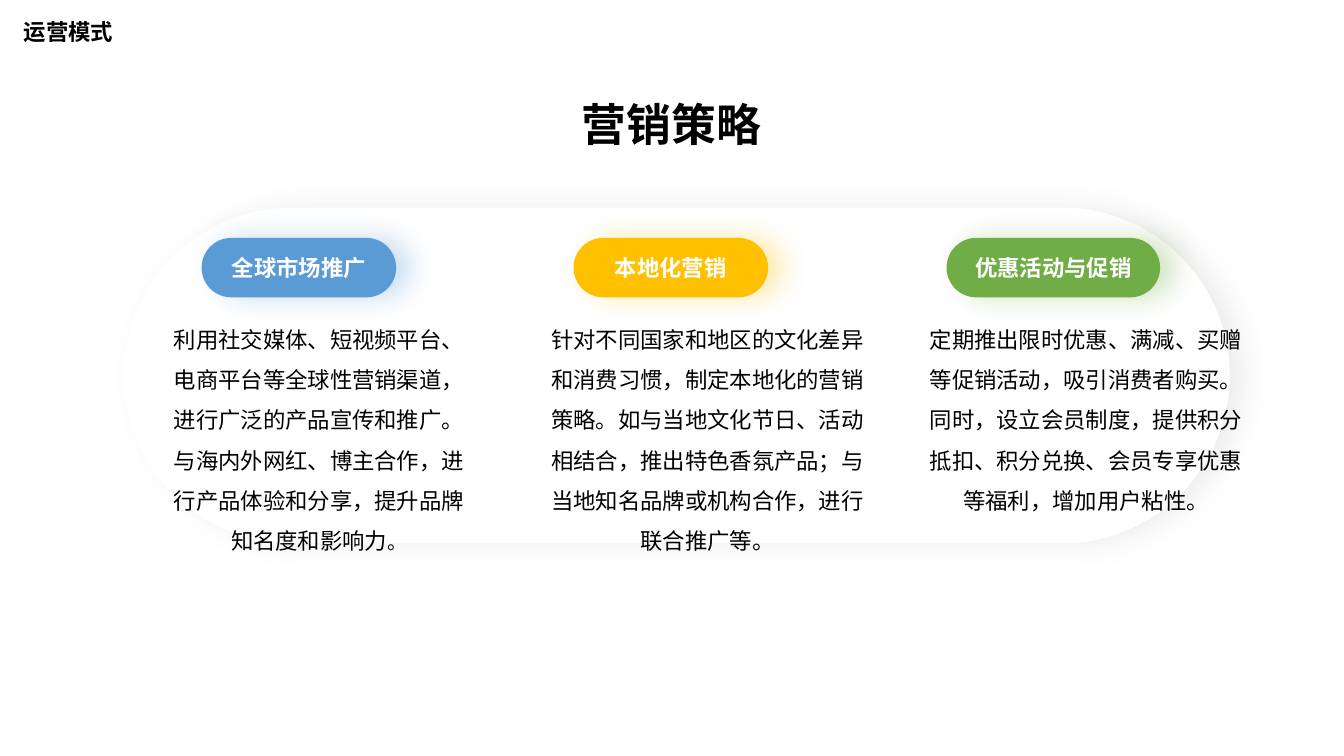
from lxml.etree import SubElement
from pptx import Presentation
from pptx.dml.color import RGBColor
from pptx.enum.shapes import MSO_SHAPE
from pptx.enum.text import MSO_ANCHOR, MSO_AUTO_SIZE, PP_ALIGN
from pptx.oxml.ns import qn
from pptx.util import Pt

COLORS = {
    "white": "FFFFFF",
    "black": "000000",
    "gray": "A6A6A6",
    "blue": "5B9BD5",
    "yellow": "FFC000",
    "green": "70AD47",
}
FONT = "Noto Sans CJK SC"

STRATEGIES = [
    {
        "heading": "全球市场推广",
        "color": "blue",
        "pill": (55.4, 139),
        "body": (26.6, 225.4),
        "text": "利用社交媒体、短视频平台、电商平台等全球性营销渠道，进行广泛的产品宣传和推广。"
                "与海内外网红、博主合作，进行产品体验和分享，提升品牌知名度和影响力",
        "ending": "。",
    },
    {
        "heading": "本地化营销",
        "color": "yellow",
        "pill": (321.1, 139),
        "body": (292.3, 249.1),
        "text": "针对不同国家和地区的文化差异和消费习惯，制定本地化的营销策略。"
                "如与当地文化节日、活动相结合，推出特色香氛产品；"
                "与当地知名品牌或机构合作，进行联合推广等。",
    },
    {
        "heading": "优惠活动与促销",
        "color": "green",
        "pill": (587.5, 152.6),
        "body": (563, 248.4),
        "text": "定期推出限时优惠、满减、买赠等促销活动，吸引消费者购买。"
                "同时，设立会员制度，提供积分抵扣、积分兑换、会员专享优惠等福利，增加用户粘性。",
    },
]


def write_text(shape, text, size=16, color="black", bold=False, align=PP_ALIGN.CENTER,
               anchor=MSO_ANCHOR.TOP, spacing=1.0, wrap=True, ending="", ending_size=14):
    """Fill a shape with one formatted paragraph."""
    frame = shape.text_frame
    frame.auto_size = MSO_AUTO_SIZE.NONE
    frame.word_wrap = wrap
    frame.vertical_anchor = anchor
    paragraph = frame.paragraphs[0]
    paragraph.alignment = align
    paragraph.line_spacing = spacing
    for part, part_size in ((text, size), (ending, ending_size)):
        if part:
            run = paragraph.add_run()
            run.text = part
            run.font.size = Pt(part_size)
            run.font.bold = bold
            run.font.color.rgb = RGBColor.from_string(COLORS[color])
            run.font.name = FONT
            SubElement(run.font._element, qn("a:ea"), typeface=FONT)


def add_capsule(slide, box, fill, shadow, opacity):
    """Draw a fully rounded shape with a soft shadow to its right."""
    shape = slide.shapes.add_shape(MSO_SHAPE.ROUNDED_RECTANGLE, *map(Pt, box))
    shape.adjustments[0] = 0.5
    shape.fill.solid()
    shape.fill.fore_color.rgb = RGBColor.from_string(COLORS[fill])
    shape.line.fill.background()
    shape.shadow.inherit = False
    effects = shape._element.spPr.find(qn("a:effectLst"))
    outer = SubElement(effects, qn("a:outerShdw"), blurRad=str(Pt(20)), dist=str(Pt(10)),
                       dir="0", algn="l", rotWithShape="0")
    tint = SubElement(outer, qn("a:srgbClr"), val=COLORS[shadow])
    SubElement(tint, qn("a:alpha"), val=str(opacity * 1000))
    return shape


def add_header(slide, left, top):
    """Place the section label and the centred title."""
    label = slide.shapes.add_textbox(Pt(left), Pt(top), Pt(78.5), Pt(26.6))
    write_text(label, "运营模式", bold=True, align=PP_ALIGN.LEFT, wrap=False)
    title = slide.shapes.title
    title.left, title.top = Pt(left + 132.5), Pt(top + 56.2)
    title.width, title.height = Pt(674.6), Pt(46)
    write_text(title, "营销策略", size=32, bold=True, anchor=MSO_ANCHOR.MIDDLE)


def add_strategy(slide, left, top, strategy):
    """Place one coloured heading and its description."""
    offset, width = strategy["pill"]
    pill = add_capsule(slide, (left + offset, top + 21.6, width, 42.5),
                       strategy["color"], strategy["color"], 32)
    write_text(pill, strategy["heading"], color="white", bold=True, anchor=MSO_ANCHOR.MIDDLE)
    offset, width = strategy["body"]
    body = slide.shapes.add_textbox(Pt(left + offset), Pt(top + 71.3), Pt(width), Pt(181.4))
    write_text(body, strategy["text"], spacing=1.5, ending=strategy.get("ending", ""))


def add_strategy_panel(slide, left, top, width, height):
    """Place the white panel with the three strategies on it."""
    add_capsule(slide, (left, top, width, height), "white", "gray", 20)
    for strategy in STRATEGIES:
        add_strategy(slide, left, top, strategy)


def main():
    """Build and save the presentation."""
    presentation = Presentation()
    presentation.slide_width, presentation.slide_height = Pt(960), Pt(540)
    slide = presentation.slides.add_slide(presentation.slide_layouts[5])
    add_strategy_panel(slide, 88.6, 148.3, 789.8, 239.8)
    add_header(slide, 10, 9.4)
    presentation.save("out.pptx")


if __name__ == "__main__":
    main()
